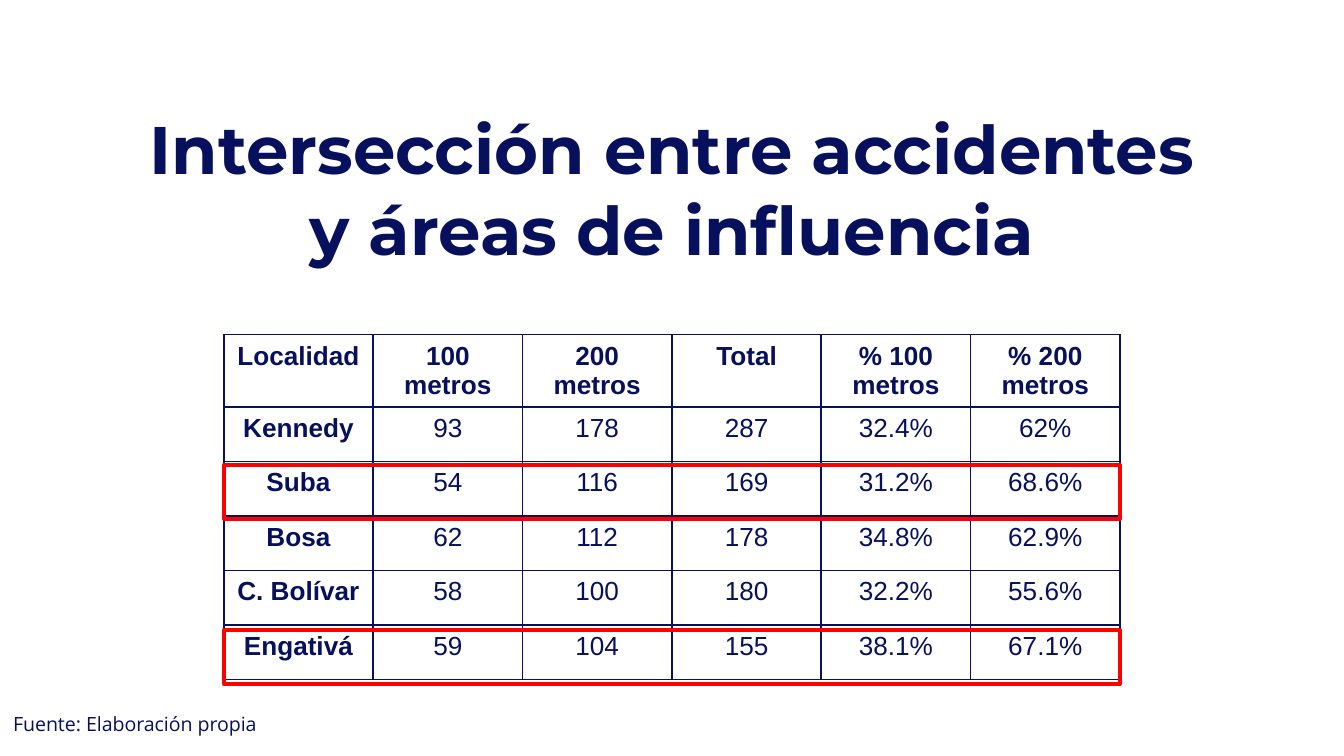
from lxml import etree
from pptx import Presentation
from pptx.dml.color import RGBColor
from pptx.enum.shapes import MSO_SHAPE as Shape
from pptx.enum.text import MSO_ANCHOR as Anchor, PP_ALIGN as Align
from pptx.oxml.ns import qn
from pptx.util import Inches, Pt

# Content
TITLE = "Intersección entre accidentes y áreas de influencia"
SOURCE_NOTE = "Fuente: Elaboración propia"
HEADINGS = ["Localidad", "100 metros", "200 metros", "Total", "% 100 metros", "% 200 metros"]
LOCALITIES = [
    ("Kennedy", "93", "178", "287", "32.4%", "62%"),
    ("Suba", "54", "116", "169", "31.2%", "68.6%"),
    ("Bosa", "62", "112", "178", "34.8%", "62.9%"),
    ("C. Bolívar", "58", "100", "180", "32.2%", "55.6%"),
    ("Engativá", "59", "104", "155", "38.1%", "67.1%"),
]
HIGHLIGHT_TOPS = {"Engativá": 4.69, "Suba": 3.46}


class Theme:
    navy, red = "07105C", "FF0000"
    title_font, table_font, note_font = "Montserrat", "Arial", "Open Sans"
    title_size, table_size, note_size = 36, 14, 10.5
    border, highlight = 1, 2


# Layout, in inches; the slide is 16:9
SLIDE_WIDTH = 10
SLIDE_HEIGHT = SLIDE_WIDTH * 9 / 16
TABLE_TOP, TABLE_WIDTH = 2.49, 6.67
TABLE_LEFT = (SLIDE_WIDTH - TABLE_WIDTH) / 2
HEADING_HEIGHT, BODY_HEIGHT = 0.53, 2.03
HIGHLIGHT_HEIGHT = 0.4


def write(frame, text, font, size, bold=False, align=Align.LEFT):
    frame.word_wrap = True
    frame.vertical_anchor = Anchor.TOP
    paragraph = frame.paragraphs[0]
    paragraph.alignment = align
    run = paragraph.add_run()
    run.text = text
    run.font.name, run.font.size, run.font.bold = font, Pt(size), bold
    run.font.color.rgb = RGBColor.from_string(Theme.navy)


def add_borders(cell):
    properties = cell._tc.get_or_add_tcPr()
    for position, side in enumerate(("lnL", "lnR", "lnT", "lnB")):
        line = etree.Element(qn(f"a:{side}"), w=str(Pt(Theme.border)))
        fill = etree.SubElement(line, qn("a:solidFill"))
        etree.SubElement(fill, qn("a:srgbClr"), val=Theme.navy)
        properties.insert(position, line)


deck = Presentation()
deck.slide_width, deck.slide_height = Inches(SLIDE_WIDTH), Inches(SLIDE_HEIGHT)
slide = deck.slides.add_slide(deck.slide_layouts[6])
shapes = slide.shapes

# Title
title = shapes.add_textbox(Inches(0.9), Inches(0.7), Inches(8.2), Inches(0.63)).text_frame
title.margin_left = title.margin_right = title.margin_top = title.margin_bottom = Inches(0.1)
write(title, TITLE, Theme.title_font, Theme.title_size, bold=True, align=Align.CENTER)

# Table of accidents by locality
rows = [HEADINGS, *LOCALITIES]
table = shapes.add_table(len(rows), len(HEADINGS), Inches(TABLE_LEFT), Inches(TABLE_TOP),
                         Inches(TABLE_WIDTH), Inches(HEADING_HEIGHT + BODY_HEIGHT)).table
table.first_row = table.horz_banding = False
for column in table.columns:
    column.width = Inches(TABLE_WIDTH / len(HEADINGS))
for r, values in enumerate(rows):
    table.rows[r].height = Inches(BODY_HEIGHT / len(LOCALITIES) if r else HEADING_HEIGHT)
    for c, value in enumerate(values):
        cell = table.cell(r, c)
        cell.margin_bottom = Inches(0.02)
        cell.fill.background()
        add_borders(cell)
        write(cell.text_frame, value, Theme.table_font, Theme.table_size,
              bold=r == 0 or c == 0, align=Align.CENTER)

# Source note
note = shapes.add_textbox(0, Inches(5.25), Inches(4.43), Inches(0.28)).text_frame
write(note, SOURCE_NOTE, Theme.note_font, Theme.note_size)

# Frames around the highlighted localities
for top in HIGHLIGHT_TOPS.values():
    highlight = shapes.add_shape(Shape.RECTANGLE, Inches(TABLE_LEFT), Inches(top),
                                 Inches(TABLE_WIDTH), Inches(HIGHLIGHT_HEIGHT))
    highlight.shadow.inherit = False
    highlight.fill.background()
    highlight.line.color.rgb = RGBColor.from_string(Theme.red)
    highlight.line.width = Pt(Theme.highlight)

deck.save("out.pptx")
